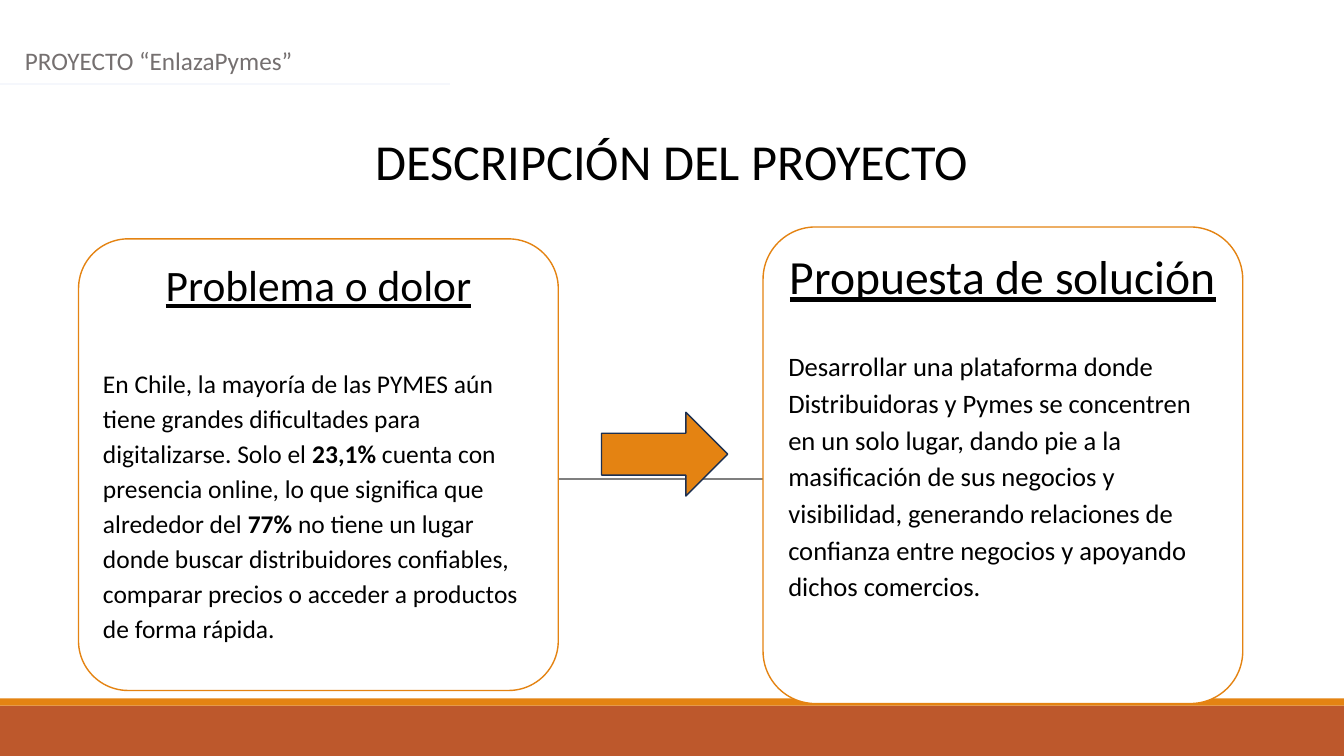
from lxml import etree
from pptx import Presentation
from pptx.dml.color import RGBColor
from pptx.enum.shapes import MSO_CONNECTOR, MSO_SHAPE
from pptx.enum.text import MSO_ANCHOR, PP_ALIGN
from pptx.oxml.ns import qn
from pptx.util import Cm, Pt

RECT, ROUND, ARROW = MSO_SHAPE.RECTANGLE, MSO_SHAPE.ROUNDED_RECTANGLE, MSO_SHAPE.RIGHT_ARROW
STRAIGHT, TOP = MSO_CONNECTOR.STRAIGHT, MSO_ANCHOR.TOP
LEFT, CENTER = PP_ALIGN.LEFT, PP_ALIGN.CENTER
ORANGE, RUST, WHITE, BLACK = "E48312", "BD582C", "FFFFFF", "000000"
WIDE, HIGH = 33.87, 19.05

deck = Presentation()
deck.slide_width, deck.slide_height = Cm(WIDE), Cm(HIGH)
slide = deck.slides.add_slide(deck.slide_layouts[6])
shapes = slide.shapes


def paint(part, color):
    """Give a fill, line or font its colour."""
    if hasattr(part, "solid"):
        part.solid()
        part = part.fore_color
    else:
        part = part.color
    part.rgb = RGBColor.from_string(color)


def write(par, text, color, size, **form):
    """Add a run with the given font values."""
    run = par.add_run()
    run.text = text
    for key, value in {"name": "Calibri", "size": Pt(size), **form}.items():
        setattr(run.font, key, value)
    paint(run.font, color)


# Footer bands
for top, tall, color in [(17.78, 1.27, RUST), (17.6, 0.18, ORANGE)]:
    band = shapes.add_shape(RECT, 0, Cm(top), Cm(WIDE), Cm(tall))
    band.shadow.inherit = False
    paint(band.fill, color)
    band.line.fill.background()

# Thin rules
for start, end, top, color, width in [
    (3.35, 30.78, 12.07, "7F7F7F", 0.75),
    (0, 11.35, 2.11, "F5F7FC", 1.25),
]:
    rule = shapes.add_connector(STRAIGHT, Cm(start), Cm(top), Cm(end), Cm(top))
    paint(rule.line, color)
    rule.line.width = Pt(width)
    etree.SubElement(rule.line._get_or_add_ln().getparent(), qn("a:effectLst"))

# Project label and title
for left, top, tall, text, color, size, align in [
    (0.38, 1.02, 1.02, "PROYECTO “EnlazaPymes”", "757070", 18, LEFT),
    (0, 3.15, 1.8, "DESCRIPCIÓN DEL PROYECTO", BLACK, 36, CENTER),
]:
    box = shapes.add_textbox(Cm(left), Cm(top), Cm(WIDE - left), Cm(tall))
    box.text_frame.word_wrap = True
    par = box.text_frame.paragraphs[0]
    par.alignment = align
    write(par, text, color, size)

# Cards: place, heading, gap below it, then body runs with every second one bold
CARDS = [
    (1.98, 6.02, 11.38, "Problema o dolor", 31, 37.6, 18.2, [
        "En Chile, la mayoría de las PYMES aún tiene grandes dificultades para "
        "digitalizarse. Solo el ",
        "23,1%",
        " cuenta con presencia online, lo que significa que alrededor del ",
        "77%",
        " no tiene un lugar donde buscar distribuidores confiables, comparar "
        "precios o acceder a productos de forma rápida.",
    ]),
    (19.23, 5.72, 12.01, "Propuesta de solución", 34, 29.3, 19, [
        "Desarrollar una plataforma donde Distribuidoras y Pymes se concentren en "
        "un solo lugar, dando pie a la masificación de sus negocios y visibilidad, "
        "generando relaciones de confianza entre negocios y apoyando dichos comercios.",
    ]),
]
for left, top, tall, title, big, gap, small, body in CARDS:
    card = shapes.add_shape(ROUND, Cm(left), Cm(top), Cm(12.09), Cm(tall))
    card.adjustments[0] = 0.11
    card.shadow.inherit = False
    paint(card.fill, WHITE)
    paint(card.line, ORANGE)
    card.line.width = Pt(1)
    frame = card.text_frame
    frame.word_wrap, frame.vertical_anchor = True, TOP
    head = frame.paragraphs[0]
    head.alignment = CENTER
    write(head, title, BLACK, big, underline=True)
    par = frame.add_paragraph()
    for key, value in {"alignment": LEFT, "line_spacing": 1.15, "space_before": Pt(gap)}.items():
        setattr(par, key, value)
    for i, text in enumerate(body):
        write(par, text, BLACK, small, bold=i % 2 == 1)

# Arrow from problem to solution
arrow = shapes.add_shape(ARROW, Cm(15.16), Cm(10.39), Cm(3.18), Cm(2.11))
arrow.shadow.inherit = False
paint(arrow.fill, ORANGE)
paint(arrow.line, "1C3052")
arrow.line.width = Pt(1)

deck.save("out.pptx")
